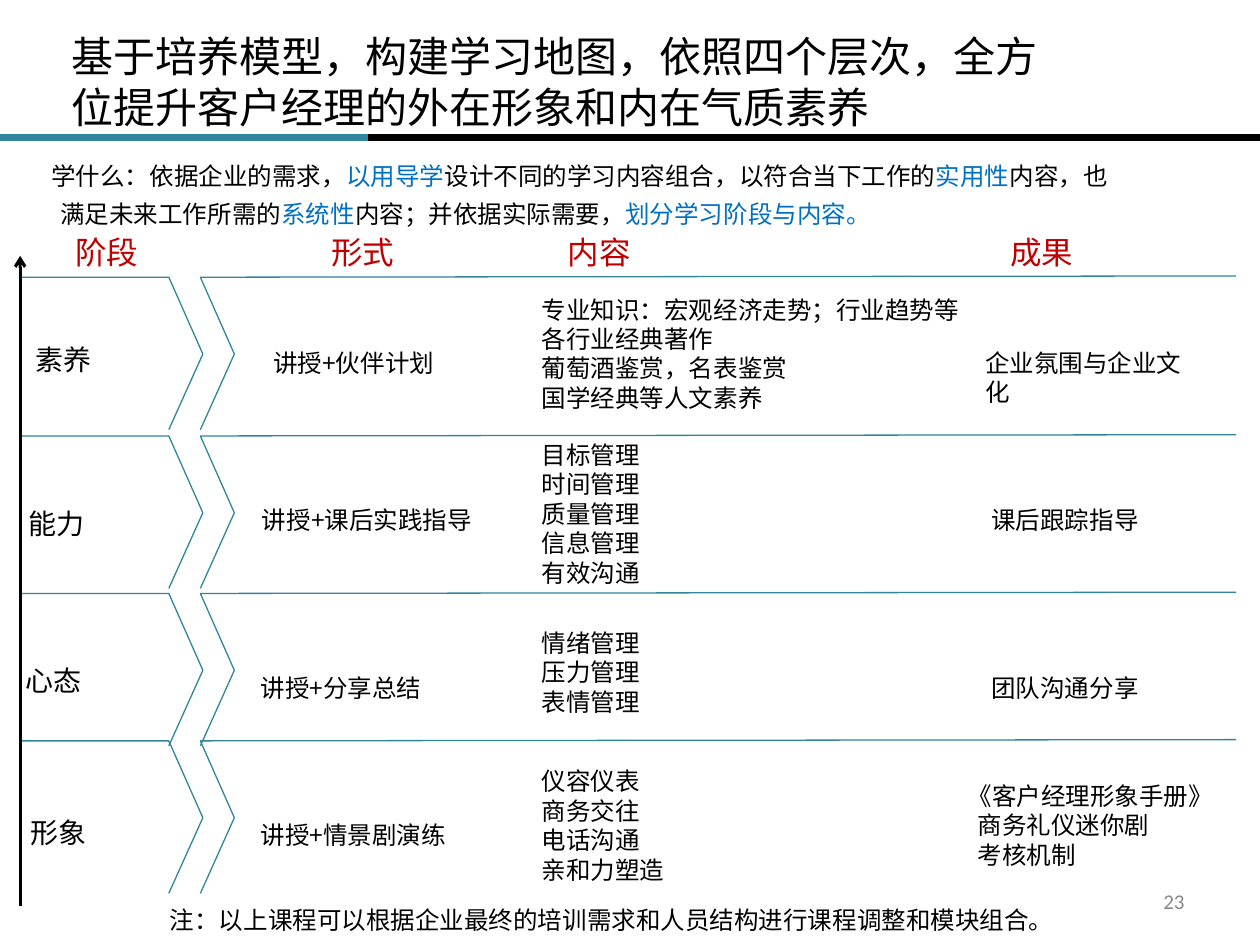
import pptx
import pptx.dml.color
import pptx.enum.shapes
import pptx.enum.text
import pptx.oxml.ns
import pptx.util
from lxml import etree

Inches = pptx.util.Inches
Pt = pptx.util.Pt
ANCHOR = pptx.enum.text.MSO_ANCHOR
ALIGN = pptx.enum.text.PP_ALIGN
qn = pptx.oxml.ns.qn

HUES = {"ink": "000000", "teal": "31859C", "red": "C00000",
        "blue": "0070C0", "grey": "898989"}
SANS = "Noto Sans CJK SC"
PAD = {"margin_left": Inches(0.1), "margin_right": Inches(0.1),
       "margin_top": Inches(0.05), "margin_bottom": Inches(0.05)}
FLUSH = dict.fromkeys(PAD, 0)
MIDDLE = {"vertical_anchor": ANCHOR.MIDDLE}
LOOSE = {"word_wrap": False}

HEADS = [(0.5, "阶段"), (2.53, "形式"), (4.41, "内容"), (7.92, "成果")]

# Each cell is (left, top, ...); content boxes are (top, width, height).
ROWS = [
    {"top": 2.2, "stage": (0.28, 2.74, "素养"),
     "form": (1.57, 2.71, 2.07, 0.5, "讲授+伙伴计划"),
     "topics": (2.34, 7.77, 0.93, ["专业知识：宏观经济走势；行业趋势等", "各行业经典著作",
                                   "葡萄酒鉴赏，名表鉴赏", "国学经典等人文素养"]),
     "result": (7.22, 2.71, 2.45, 0.5, "企业氛围与企业文化")},
    {"top": 3.46, "stage": (0.23, 4.04, "能力"),
     "form": (1.4, 3.96, 2.55, 0.58, "讲授+课后实践指导"),
     "topics": (3.49, 7.77, 1.17, ["目标管理", "时间管理", "质量管理",
                                   "信息管理", "有效沟通"]),
     "result": (7.27, 3.96, 1.87, 0.5, "课后跟踪指导")},
    {"top": 4.71, "stage": (0.2, 5.29, "心态"),
     "form": (1.47, 5.29, 2.07, 0.5, "讲授+分享总结"),
     "topics": (4.75, 7.77, 1.17, ["情绪管理", "压力管理", "表情管理"]),
     "result": (7.27, 5.29, 1.87, 0.5, "团队沟通分享")},
    {"top": 5.88, "stage": (0.24, 6.49, "形象"),
     "form": (1.47, 6.46, 2.27, 0.5, "讲授+情景剧演练"),
     "topics": (5.85, 5.78, 1.4, ["仪容仪表", "商务交往", "电话沟通", "亲和力塑造"])},
]

INTRO = [("学什么：依据企业的需求，", "ink"), ("以用导学", "blue"),
         ("设计不同的学习内容组合，以符合当下工作的", "ink"), ("实用性", "blue"),
         ("内容，也满足未来工作所需的", "ink"), ("系统性", "blue"),
         ("内容；并依据实际需要，", "ink"), ("划分学习阶段与内容。", "blue")]


def apply(thing, values):
    for name, value in values.items():
        setattr(thing, name, value)


def color(name):
    return pptx.dml.color.RGBColor.from_string(HUES[name])


def indent(para, left, first=0):
    props = para._p.get_or_add_pPr()
    props.set("marL", str(Inches(left)))
    props.set("indent", str(Inches(first)))


def write(para, words, hue, size, font):
    run = para.add_run()
    run.text = words
    apply(run.font, {"size": Pt(size), "name": font})
    run.font.color.rgb = color(hue)
    east = etree.SubElement(run._r.get_or_add_rPr(), qn("a:ea"))
    east.set("typeface", SANS)


def add_text(slide, spot, lines, size=14, font=SANS, frame=None, para=None):
    """Add a box; each line is a list of (words, hue). Return its paragraphs."""
    box = slide.shapes.add_textbox(*map(Inches, spot)).text_frame
    apply(box, {"word_wrap": True, **PAD, **(frame or {})})
    for n, parts in enumerate(lines):
        item = box.add_paragraph() if n else box.paragraphs[0]
        apply(item, para or {})
        for words, hue in parts:
            write(item, words, hue, size, font)
    return box.paragraphs


def add_line(slide, start, end, hue, width, arrow=False):
    line = slide.shapes.add_connector(
        pptx.enum.shapes.MSO_CONNECTOR.STRAIGHT, *map(Inches, start + end))
    line.line.color.rgb = color(hue)
    line.line.width = Pt(width)
    if arrow:
        etree.SubElement(line.line._get_or_add_ln(), qn("a:tailEnd"), type="arrow")
    etree.SubElement(line._element.spPr, qn("a:effectLst"))


def add_edge(slide, points):
    """Draw an open outline through the points."""
    first, *rest = [tuple(map(Inches, point)) for point in points]
    pen = slide.shapes.build_freeform(*first)
    pen.add_line_segments(rest, close=False)
    edge = pen.convert_to_shape()
    edge.shadow.inherit = False
    edge.fill.background()
    edge.line.color.rgb = color("teal")
    edge.line.width = Pt(0.75)


def add_cell(slide, left, top, width, inset, words):
    paras = add_text(slide, (left, top, width, 0.34), [[(words, "ink")]],
                     frame=LOOSE, para={"level": 1})
    indent(paras[0], inset)


def add_row(slide, row):
    top, width, height, topics = row["topics"]
    paras = add_text(slide, (3.8, top, width, height),
                     [[(topic, "ink")] for topic in topics],
                     frame={**FLUSH, **MIDDLE}, para={"level": 1})
    for para in paras:
        indent(para, 0.5)
    left, top, words = row["stage"]
    add_text(slide, (left, top, 1.21, 0.25), [[(words, "ink")]], size=16,
             frame={**FLUSH, **MIDDLE}, para={"line_spacing": 0.95})
    top = row["top"]
    for start, lift, turn in ((0.16, 0, 1.34), (9.81, 0.01, 1.59)):
        add_edge(slide, [(start, top - lift), (turn, top),
                         (turn + 0.27, top + 0.61), (turn, top + 1.21)])
    for key in ("form", "result"):
        if key in row:
            add_cell(slide, *row[key])


def add_outcome(slide):
    lines = ["《客户经理形象手册》", "商务礼仪迷你剧", "考核机制"]
    paras = add_text(slide, (6.95, 6.15, 2.81, 0.8),
                     [[(line, "ink")] for line in lines], para={"level": 1})
    for para, left in zip(paras, (0.63, 0.71, 0.71)):
        indent(para, left)


def main():
    deck = pptx.Presentation()
    apply(deck, {"slide_width": Inches(10), "slide_height": Inches(7.5)})
    slide = deck.slides.add_slide(deck.slide_layouts[6])

    add_text(slide, (7.17, 6.95, 2.33, 0.4), [[("23", "grey")]], size=12,
             font="Calibri", frame=MIDDLE, para={"alignment": ALIGN.RIGHT})
    for row in ROWS:
        add_row(slide, row)
    add_outcome(slide)
    add_line(slide, (0.16, 7.19), (0.16, 2.03), "ink", 1.75, arrow=True)
    add_text(slide, (1.25, 7.13, 8.2, 0.34),
             [[("注：以上课程可以根据企业最终的培训需求和人员结构进行课程调整和模块组合。", "ink")]])
    for left, words in HEADS:
        add_text(slide, (left, 1.8, 0.7, 0.4), [[(words, "red")]], size=18,
                 frame=LOOSE)
    paras = add_text(slide, (0, 1.16, 9.06, 0.71), [INTRO], font="Arial",
                     para={"line_spacing": 1.3})
    indent(paras[0], 0.38, -0.07)
    add_text(slide, (0.47, 0.23, 8.05, 0.83),
             [[("基于培养模型，构建学习地图，依照四个层次，全方位提升客户经理的外在形象和内在气质素养", "ink")]],
             size=24, frame=MIDDLE)
    add_line(slide, (2.57, 1.09), (10, 1.09), "ink", 3.75)
    add_line(slide, (0, 1.09), (2.92, 1.09), "teal", 3.75)
    deck.save("out.pptx")


if __name__ == "__main__":
    main()
